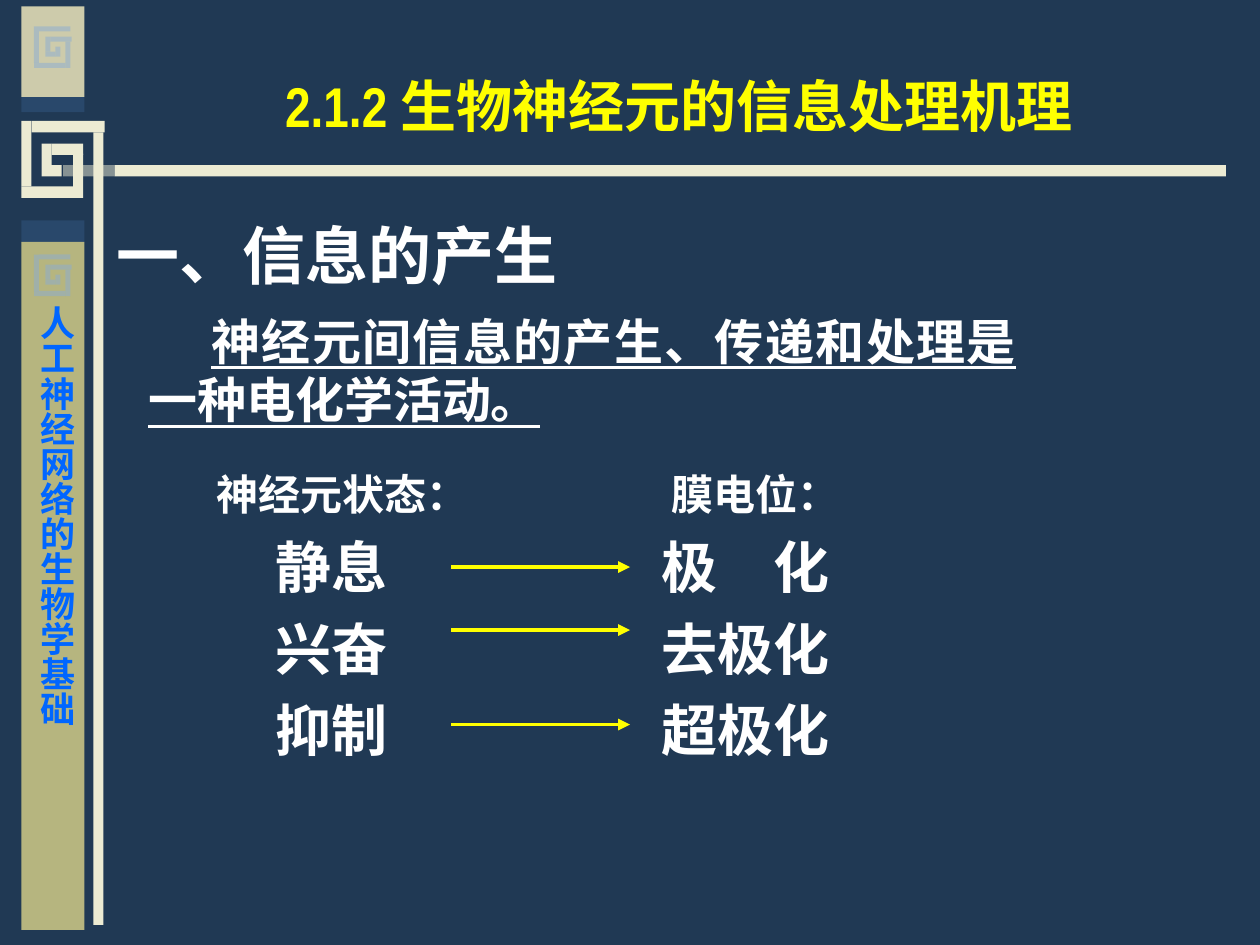
from dataclasses import dataclass
from lxml import etree
from pptx import Presentation
from pptx.dml.color import RGBColor
from pptx.enum.shapes import MSO_CONNECTOR, MSO_SHAPE
from pptx.enum.text import MSO_ANCHOR, PP_ALIGN
from pptx.oxml.ns import qn
from pptx.util import Inches, Pt

RECT = MSO_SHAPE.RECTANGLE
STRAIGHT = MSO_CONNECTOR.STRAIGHT
BOTTOM = MSO_ANCHOR.BOTTOM
LEFT, CENTER, JUSTIFY = PP_ALIGN.LEFT, PP_ALIGN.CENTER, PP_ALIGN.JUSTIFY

COLORS = {
    "back": "203954", "navy": "29486B", "sand": "CDCBAB", "cream": "ECEBD3",
    "olive": "B6B57F", "blue": "8BADD3", "yellow": "FFFF00",
    "white": "FFFFFF", "label": "0066FF",
}
SERIF, NARROW = "Times New Roman", "Arial Narrow"


@dataclass
class Bar:
    left: float
    top: float
    width: float
    height: float
    color: str
    alpha: int = 100


@dataclass
class Line:
    text: str
    size: int
    before: float = 0
    align: PP_ALIGN = LEFT
    color: str = "white"
    font: str = SERIF
    under: bool = False
    margin: float = 0
    indent: float = 0


BARS = [
    Bar(0.17, 0.77, 0.5, 0.12, "navy"),
    Bar(0.17, 0.05, 0.5, 0.72, "sand"),
    Bar(0.33, 1.14, 0.08, 0.17, "cream"),
    Bar(0.33, 1.31, 0.16, 0.09, "cream"),
    Bar(0.41, 1.14, 0.25, 0.09, "cream"),
    Bar(0.17, 1.48, 0.41, 0.09, "cream"),
    Bar(0.17, 0.96, 0.08, 0.52, "cream"),
    Bar(0.25, 0.96, 0.58, 0.09, "cream"),
    Bar(0.74, 1.05, 0.08, 6.29, "cream"),
    Bar(0.5, 1.31, 0.41, 0.09, "cream", 50),
    Bar(0.91, 1.31, 8.82, 0.09, "cream"),
    Bar(0.58, 1.22, 0.08, 0.35, "cream"),
    Bar(0.17, 1.75, 0.5, 0.17, "navy"),
    Bar(0.17, 1.92, 0.5, 5.46, "olive"),
]

# Strokes of the small spiral, measured from its top left corner
SPIRAL = [
    (0.09, 0.2, 0.08, 0.04), (0.17, 0.16, 0.04, 0.08),
    (0.09, 0.08, 0.04, 0.12), (0.13, 0.08, 0.17, 0.04),
    (0.25, 0.12, 0.04, 0.21), (0, 0.29, 0.25, 0.04),
    (0, 0, 0.04, 0.29), (0.04, 0, 0.25, 0.04),
]
SPIRAL_LEFT = 0.27
SPIRAL_TOPS = (0.21, 2.02)

COLUMNS = [
    (1.42, 2.42, "神经元状态：", ("静息", "兴奋", "抑制")),
    (5, 1.83, "膜电位：", ("极　化", "去极化", "超极化")),
]
ARROW_TOPS = (4.5, 5, 5.75)


def rgb(name: str) -> RGBColor:
    return RGBColor.from_string(COLORS[name])


def draw_bar(slide, bar: Bar) -> None:
    shape = slide.shapes.add_shape(
        RECT, Inches(bar.left), Inches(bar.top), Inches(bar.width), Inches(bar.height))
    shape.shadow.inherit = False
    shape.line.fill.background()
    shape.fill.solid()
    shape.fill.fore_color.rgb = rgb(bar.color)
    if bar.alpha < 100:
        color = shape.fill._xPr.find(".//" + qn("a:srgbClr"))
        etree.SubElement(color, qn("a:alpha"), val=str(bar.alpha * 1000))


def draw_text(slide, left: float, top: float, width: float, height: float,
              lines: list[Line]):
    """Add a wrapped text box, one paragraph a line, and return its frame."""
    frame = slide.shapes.add_textbox(
        Inches(left), Inches(top), Inches(width), Inches(height)).text_frame
    frame.word_wrap = True
    for i, line in enumerate(lines):
        para = frame.add_paragraph() if i else frame.paragraphs[0]
        para.text = line.text
        para.alignment = line.align
        para.space_before = Pt(line.before)
        font = para.font
        font.name, font.size, font.bold = line.font, Pt(line.size), True
        font.color.rgb = rgb(line.color)
        if line.under:
            font.underline = True
        props = para._p.get_or_add_pPr()
        props.set("marL", str(Inches(line.margin)))
        props.set("indent", str(Inches(line.indent)))
    return frame


def draw_arrow(slide, left: float, right: float, top: float) -> None:
    arrow = slide.shapes.add_connector(
        STRAIGHT, Inches(left), Inches(top), Inches(right), Inches(top))
    arrow.line.color.rgb = rgb("yellow")
    arrow.line.width = Pt(2.25)
    etree.SubElement(arrow.line._get_or_add_ln(), qn("a:tailEnd"), type="triangle")
    etree.SubElement(arrow._element.spPr, qn("a:effectLst"))


def main() -> None:
    deck = Presentation()
    deck.slide_width, deck.slide_height = Inches(10), Inches(7.5)
    slide = deck.slides.add_slide(deck.slide_layouts[6])
    slide.background.fill.solid()
    slide.background.fill.fore_color.rgb = rgb("back")

    for bar in BARS:
        draw_bar(slide, bar)
    for top in SPIRAL_TOPS:
        for x, y, width, height in SPIRAL:
            draw_bar(slide, Bar(SPIRAL_LEFT + x, top + y, width, height, "blue", 50))

    title = draw_text(slide, 1.14, 0.6, 8.5, 0.55, [
        Line("2.1.2 生物神经元的信息处理机理", 32, align=CENTER,
             color="yellow", font=NARROW)])
    title.vertical_anchor = BOTTOM
    draw_text(slide, 0.83, 1.67, 6.67, 0.7, [Line("一、信息的产生", 36, 22.5)])
    draw_text(slide, 1.08, 2.42, 7.08, 1.04, [
        Line("神经元间信息的产生、传递和处理是一种电化学活动。", 28, 17.5,
             JUSTIFY, under=True, indent=0.5)])

    for left, width, head, states in COLUMNS:
        lines = [Line(head, 24, 15, CENTER, margin=0.17)]
        lines += [Line(state, 32, 8, CENTER) for state in states]
        draw_text(slide, left, 3.67, width, 2.44, lines)
    for top in ARROW_TOPS:
        draw_arrow(slide, 3.58, 5, top)

    side = draw_text(slide, 0.14, 2.33, 0.53, 4.49, [
        Line("人工神经网络的生物学基础", 20, color="label")])
    side.margin_left = side.margin_right = Inches(0.05)
    side.margin_top = side.margin_bottom = Inches(0.1)
    side._txBody.bodyPr.set("vert", "eaVert")

    deck.save("out.pptx")


if __name__ == "__main__":
    main()
